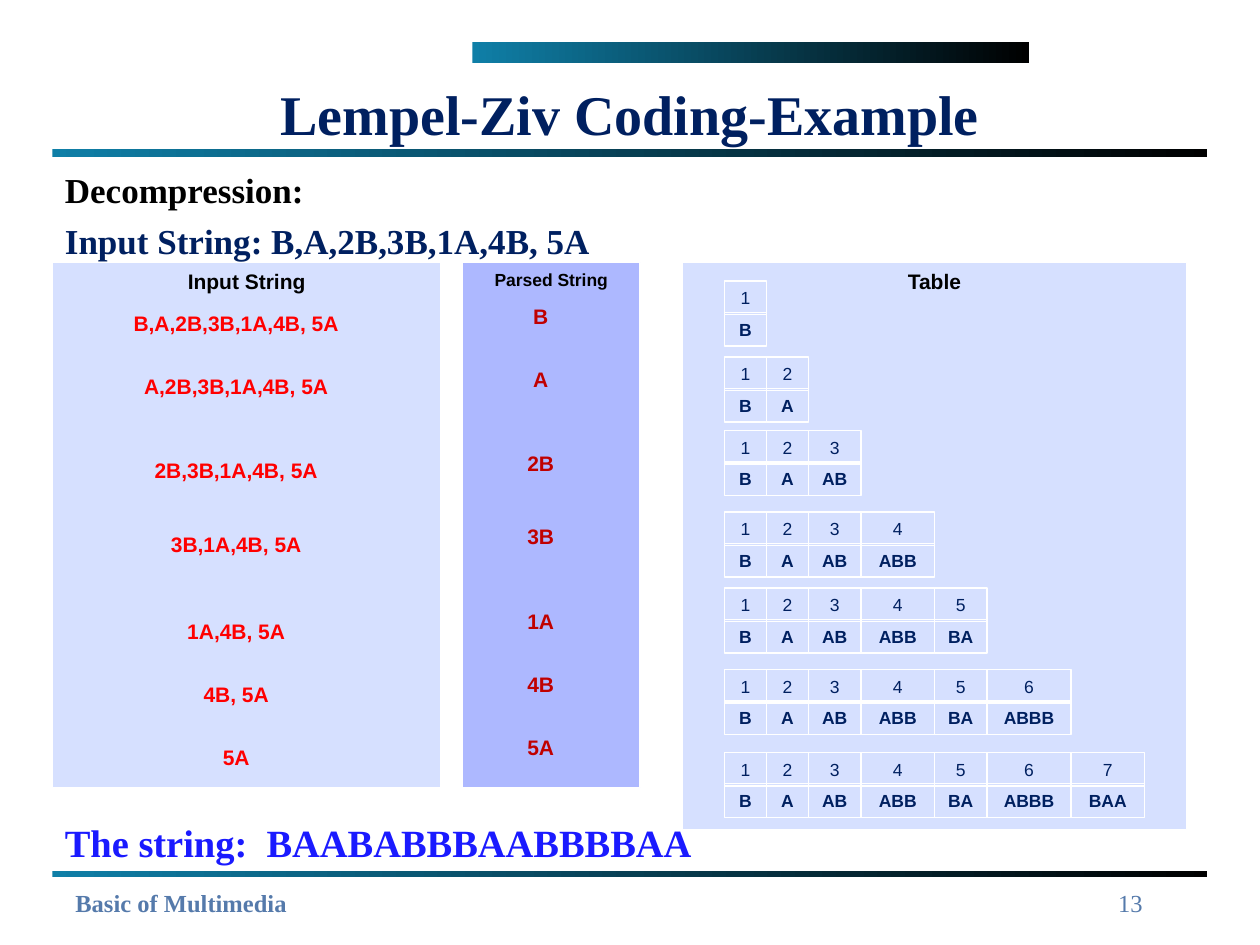
from dataclasses import dataclass
from itertools import accumulate

from pptx import Presentation, util as u
from pptx.dml.color import RGBColor
from pptx.enum import shapes, text

COLUMNS, ROWS = 120, 90  # grid of the slide


@dataclass(frozen=True)
class Style:
    size: int
    color: str
    font: str = "Arial"
    bold: bool = True
    align: text.PP_ALIGN = text.PP_ALIGN.CENTER


@dataclass(frozen=True)
class Theme:
    serif = "Times New Roman"
    left = text.PP_ALIGN.LEFT
    bar_start, bar_end = "0F7FA7", "000000"
    white, pale, violet = "FFFFFF", "D6E0FF", "ADB8FF"
    title = Style(32, "002060", serif)
    heading = Style(20, "000000", serif, align=left)
    question = Style(20, "002060", serif, align=left)
    answer = Style(22, "1A1AFF", serif, align=left)
    footer = Style(14, "557AAB", serif, align=left)
    number = Style(14, "557AAB", serif, False, text.PP_ALIGN.RIGHT)
    panel = Style(12, "000000")
    small_panel = Style(10, "000000")
    remaining = Style(12, "FF0000")
    parsed = Style(12, "C00000")
    index = Style(10, "002060", bold=False)
    phrase = Style(10, "002060")


@dataclass(frozen=True)
class Box:
    """A place on the grid: left and width in columns, top and height in rows."""
    left: float
    top: float
    width: float
    height: float


@dataclass(frozen=True)
class Panel:
    heading: str
    box: Box
    fill: str
    style: Style


@dataclass(frozen=True)
class Step:
    """Rows at which the three parts of one decoding step begin."""
    remaining: float
    parsed: float
    table: float


THEME = Theme()
CODES = "B,A,2B,3B,1A,4B, 5A"
PHRASES = ["B", "A", "AB", "ABB", "BA", "ABBB", "BAA"]
PHRASE_WIDTHS = [4, 4, 5, 7, 5, 8, 7]
TABLE_LEFT, CELL_PITCH, CELL_HEIGHT = 69, 3, 3.2
PHRASE_LEFTS = list(accumulate(PHRASE_WIDTHS[:-1], initial=TABLE_LEFT))
BARS = [Box(45, 4, 53, 2), Box(5, 14.15, 110, 0.8), Box(5, 83, 110, 0.5)]
PANELS = [
    Panel("Input String", Box(5, 25, 37, 50), THEME.pale, THEME.panel),
    Panel("Parsed String", Box(44, 25, 17, 50), THEME.violet, THEME.small_panel),
    Panel("Table", Box(65, 25, 48, 54), THEME.pale, THEME.panel),
]
STEPS = [
    Step(29, 28.3, 26.75), Step(35, 34.3, 34), Step(43, 42.3, 41),
    Step(50, 49.3, 48.75), Step(58.3, 57.4, 56),
    Step(64.3, 63.4, 63.75), Step(70.3, 69.4, 71.65),
]


def place(box: Box) -> tuple:
    across, down = u.Inches(10) / COLUMNS, u.Inches(7.5) / ROWS
    return tuple(round(share) for share in (
        box.left * across, box.top * down, box.width * across, box.height * down))


def write(shape, lines: list, anchor=text.MSO_ANCHOR.TOP, grow: bool = False) -> None:
    """Fill a shape with (wording, style) lines."""
    frame = shape.text_frame
    fit = text.MSO_AUTO_SIZE.SHAPE_TO_FIT_TEXT if grow else text.MSO_AUTO_SIZE.NONE
    for name, value in {"word_wrap": True, "vertical_anchor": anchor,
                        "auto_size": fit}.items():
        setattr(frame, name, value)
    for i, (wording, style) in enumerate(lines):
        paragraph = frame.add_paragraph() if i else frame.paragraphs[0]
        paragraph.alignment = style.align
        if i:
            paragraph.space_before = u.Pt(5)
        run = paragraph.add_run()
        run.text = wording
        for name, value in {"name": style.font, "size": u.Pt(style.size),
                            "bold": style.bold}.items():
            setattr(run.font, name, value)
        run.font.color.rgb = RGBColor.from_string(style.color)


def add_label(slide, box: Box, *lines: tuple, **layout) -> None:
    write(slide.shapes.add_textbox(*place(box)), list(lines), **layout)


def add_rectangle(slide, box: Box):
    rectangle = slide.shapes.add_shape(shapes.MSO_SHAPE.RECTANGLE, *place(box))
    rectangle.shadow.inherit = False
    return rectangle


def outline(shape, width: float) -> None:
    shape.line.color.rgb = RGBColor.from_string(THEME.white)
    shape.line.width = u.Pt(width)


def add_bar(slide, box: Box) -> None:
    bar = add_rectangle(slide, box)
    bar.line.fill.background()
    bar.fill.gradient()
    bar.fill.gradient_angle = 0
    for stop, color in zip(bar.fill.gradient_stops, (THEME.bar_start, THEME.bar_end)):
        stop.color.rgb = RGBColor.from_string(color)


def add_panel(slide, panel: Panel) -> None:
    shape = add_rectangle(slide, panel.box)
    shape.fill.solid()
    shape.fill.fore_color.rgb = RGBColor.from_string(panel.fill)
    outline(shape, 1)
    write(shape, [(panel.heading, panel.style)])


def add_cell(slide, box: Box, wording: str, style: Style) -> None:
    cell = add_rectangle(slide, box)
    cell.fill.background()
    outline(cell, 0.75)
    write(cell, [(wording, style)], grow=True)


def add_step(slide, count: int, step: Step) -> None:
    """Draw the remaining input, its first code and the first count phrases."""
    remaining = CODES.split(",", count - 1)[-1].strip()
    add_label(slide, Box(10, step.remaining, 25, 3.6),
              (remaining, THEME.remaining), grow=True)
    add_label(slide, Box(49, step.parsed, 5, 3.6),
              (remaining.split(",")[0], THEME.parsed), grow=True)
    columns = zip(PHRASES[:count], PHRASE_LEFTS, PHRASE_WIDTHS)
    for index, (phrase, left, width) in enumerate(columns, 1):
        pair = ((str(index), THEME.index), (phrase, THEME.phrase))
        for row, (wording, style) in enumerate(pair):
            top = step.table + row * CELL_PITCH
            add_cell(slide, Box(left, top, width, CELL_HEIGHT), wording, style)


def main() -> None:
    deck = Presentation()
    deck.slide_width, deck.slide_height = u.Inches(10), u.Inches(7.5)
    slide = deck.slides.add_slide(deck.slide_layouts[6])
    add_label(slide, Box(6, 84, 73, 4), ("Basic of Multimedia", THEME.footer), grow=True)
    for bar in BARS:
        add_bar(slide, bar)
    add_label(slide, Box(5, 6.75, 110, 8), ("Lempel-Ziv Coding-Example", THEME.title),
              anchor=text.MSO_ANCHOR.MIDDLE)
    add_label(slide, Box(5, 15.5, 110, 67), ("Decompression:", THEME.heading),
              (f"Input String: {CODES}", THEME.question))
    add_label(slide, Box(85, 84, 25, 6), ("13", THEME.number))
    for panel in PANELS:
        add_panel(slide, panel)
    for count, step in enumerate(STEPS, 1):
        add_step(slide, count, step)
    add_label(slide, Box(5, 77.4, 75, 5.6),
              ("The string:  BAABABBBAABBBBAA", THEME.answer), grow=True)
    deck.save("out.pptx")


if __name__ == "__main__":
    main()
